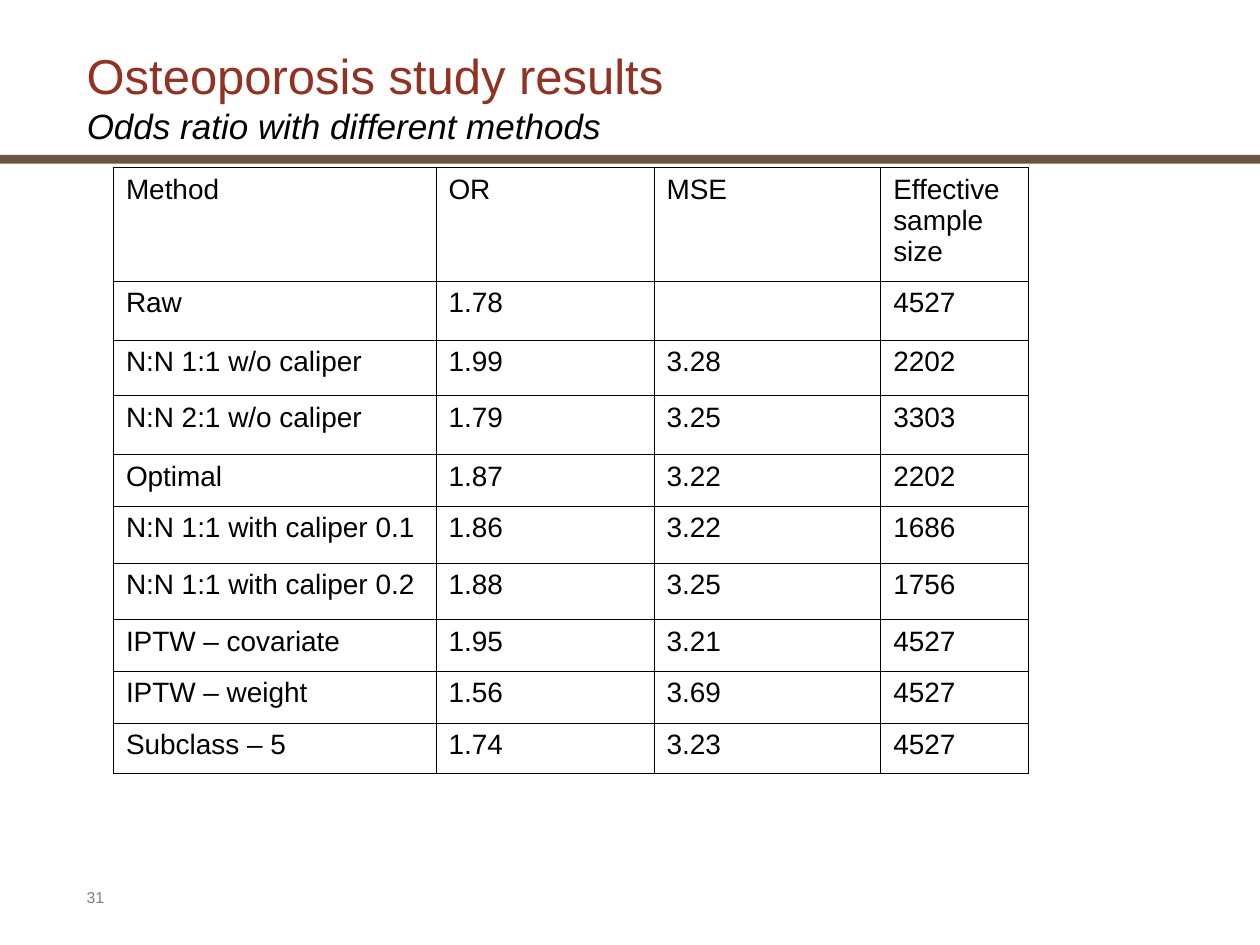
from lxml import etree
from pptx import Presentation
from pptx.dml.color import RGBColor
from pptx.enum.shapes import MSO_SHAPE
from pptx.enum.text import MSO_ANCHOR
from pptx.oxml.ns import qn
from pptx.util import Inches, Pt

RECTANGLE = MSO_SHAPE.RECTANGLE
TOP, BOTTOM = MSO_ANCHOR.TOP, MSO_ANCHOR.BOTTOM
BLACK = RGBColor(0x00, 0x00, 0x00)
WHITE = RGBColor(0xFF, 0xFF, 0xFF)
RED = RGBColor(0x92, 0x32, 0x22)
BROWN = RGBColor(0x6A, 0x55, 0x40)
GRAY = RGBColor(0x7F, 0x7F, 0x7F)

# Content: text, box, top inset, anchor, paragraph format, font size, colour, italic
TEXTS = [
    ("Osteoporosis study results", (0.59, 0.33, 9.1, 0.88), 0.14, TOP,
     {"line_spacing": 0.75}, 28, RED, False),
    ("Odds ratio with different methods", (0.59, 0.81, 9.09, 0.4), 0.05, BOTTOM,
     {"line_spacing": 0.85}, 20, BLACK, True),
    ("31", (0.59, 7, 0.44, 0.27), 0.05, TOP, {}, 9, GRAY, False),
]
RESULTS = [
    ("Method", "OR", "MSE", "Effective\nsample\nsize"),
    ("Raw", "1.78", "", "4527"),
    ("N:N 1:1 w/o caliper", "1.99", "3.28", "2202"),
    ("N:N 2:1 w/o caliper", "1.79", "3.25", "3303"),
    ("Optimal", "1.87", "3.22", "2202"),
    ("N:N 1:1 with caliper 0.1", "1.86", "3.22", "1686"),
    ("N:N 1:1 with caliper 0.2", "1.88", "3.25", "1756"),
    ("IPTW – covariate", "1.95", "3.21", "4527"),
    ("IPTW – weight", "1.56", "3.69", "4527"),
    ("Subclass – 5", "1.74", "3.23", "4527"),
]
COLUMN_WIDTHS = [2.56, 1.73, 1.8, 1.17]
ROW_HEIGHTS = [0.9, 0.47, 0.44, 0.47, 0.41, 0.45, 0.45, 0.41, 0.41, 0.4]


def format_text(text_frame, size, color, italic=False, paragraph_format=None):
    for paragraph in text_frame.paragraphs:
        for name, value in (paragraph_format or {}).items():
            setattr(paragraph, name, value)
        for run in paragraph.runs:
            values = {"name": "Arial", "size": Pt(size), "italic": italic}
            for name, value in values.items():
                setattr(run.font, name, value)
            run.font.color.rgb = color


def add_borders(cell):
    properties = cell._tc.get_or_add_tcPr()
    for index, side in enumerate(("a:lnL", "a:lnR", "a:lnT", "a:lnB")):
        line = etree.Element(qn(side), w=str(Pt(0.45)))
        fill = etree.SubElement(line, qn("a:solidFill"))
        etree.SubElement(fill, qn("a:srgbClr"), val=str(BLACK))
        properties.insert(index, line)


presentation = Presentation()
presentation.slide_width = Inches(10)
presentation.slide_height = Inches(7.5)
slide = presentation.slides.add_slide(presentation.slide_layouts[6])

# Rule under the heading
rule = slide.shapes.add_shape(RECTANGLE, 0, Inches(1.23), Inches(10), Inches(0.07))
rule.shadow.inherit = False
rule.fill.solid()
rule.fill.fore_color.rgb = BROWN
rule.line.fill.background()

# Title, subtitle and slide number
for text, box, top_inset, anchor, paragraph_format, size, color, italic in TEXTS:
    text_frame = slide.shapes.add_textbox(*map(Inches, box)).text_frame
    text_frame.text = text
    frame_format = {"word_wrap": True, "margin_top": Inches(top_inset),
                    "vertical_anchor": anchor}
    for name, value in frame_format.items():
        setattr(text_frame, name, value)
    format_text(text_frame, size, color, italic, paragraph_format)

# Results table
table = slide.shapes.add_table(
    len(RESULTS), len(COLUMN_WIDTHS), Inches(0.9), Inches(1.33),
    Inches(sum(COLUMN_WIDTHS)), Inches(sum(ROW_HEIGHTS))).table
for column, width in zip(table.columns, COLUMN_WIDTHS):
    column.width = Inches(width)
for row, height, texts in zip(table.rows, ROW_HEIGHTS, RESULTS):
    row.height = Inches(height)
    for cell, text in zip(row.cells, texts):
        cell.text = text
        cell.fill.solid()
        cell.fill.fore_color.rgb = WHITE
        format_text(cell.text_frame, 16, BLACK)
        add_borders(cell)
for name in ("first_row", "horz_banding"):
    setattr(table, name, False)

presentation.save("out.pptx")
